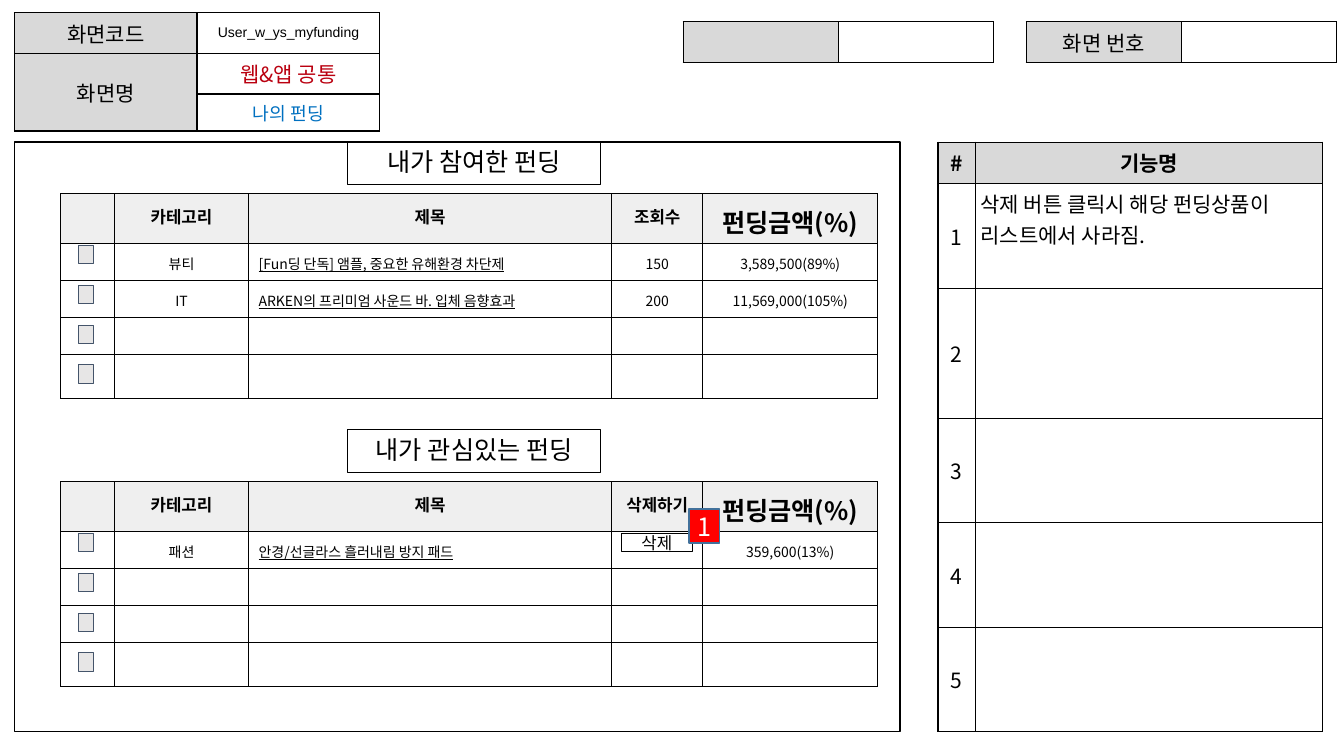
from lxml import etree
from pptx import Presentation
from pptx.dml.color import RGBColor
from pptx.enum.shapes import MSO_SHAPE as Shape
from pptx.enum.text import MSO_ANCHOR as Anchor, PP_ALIGN as Align
from pptx.oxml.ns import qn
from pptx.util import Pt

BLACK = RGBColor(0x00, 0x00, 0x00)
WHITE = RGBColor(0xFF, 0xFF, 0xFF)
LABEL_GRAY = RGBColor(0xD9, 0xD9, 0xD9)
HEADER_GRAY = RGBColor(0xEF, 0xEF, 0xEF)
CHECK_GRAY = RGBColor(0xE7, 0xE6, 0xE6)
CHECK_LINE = RGBColor(0x44, 0x54, 0x6A)
CRIMSON = RGBColor(0xBA, 0x00, 0x10)
BLUE = RGBColor(0x00, 0x70, 0xC0)
RED = RGBColor(0xFF, 0x00, 0x00)
MARKER_LINE = RGBColor(0x42, 0x71, 0x9B)
KOREAN = "Noto Sans CJK KR"

deck = Presentation()
deck.slide_width, deck.slide_height = Pt(960), Pt(540)
slide = deck.slides.add_slide(deck.slide_layouts[6])


def write(frame, text, align=Align.CENTER, color=BLACK, **styles):
    paragraph = frame.paragraphs[0]
    paragraph.alignment = align
    run = paragraph.add_run()
    run.text = text
    for key, value in ({"name": KOREAN, "size": Pt(15), "bold": False} | styles).items():
        setattr(run.font, key, value)
    run.font.color.rgb = color
    latin = run.font._element.find(qn("a:latin"))
    east_asian = etree.Element(qn("a:ea"), typeface=run.font.name)
    latin.addnext(east_asian)


def add_grid(left, top, widths, heights, border, fills, texts):
    """texts maps (row, column) to (text, style); fills maps (row, column) to a colour."""
    grid = slide.shapes.add_table(len(heights), len(widths), Pt(left), Pt(top),
                                  Pt(sum(widths)), Pt(sum(heights))).table
    for column, width in zip(grid.columns, widths):
        column.width = Pt(width)
    for r, height in enumerate(heights):
        grid.rows[r].height = Pt(height)
        for c in range(len(widths)):
            cell = grid.cell(r, c)
            properties = cell._tc.get_or_add_tcPr()
            for side in ("lnL", "lnR", "lnT", "lnB"):
                line = etree.SubElement(properties, qn(f"a:{side}"), w=str(Pt(border)))
                solid = etree.SubElement(line, qn("a:solidFill"))
                etree.SubElement(solid, qn("a:srgbClr"), val=str(BLACK))
            cell.fill.solid()
            cell.fill.fore_color.rgb = fills.get((r, c), WHITE)
            text, style = texts.get((r, c), ("", {}))
            style = dict(style)
            inset = style.pop("inset", 3.6) if text else 0
            cell.margin_left = cell.margin_right = cell.margin_top = Pt(inset)
            cell.margin_bottom = Pt(inset if inset <= 3.6 else 0)
            cell.vertical_anchor = style.pop("anchor", Anchor.MIDDLE)
            if text:
                write(cell.text_frame, text, **style)
    return grid


# Screen code and screen name
screen = add_grid(10.3, 9, [130.5, 130.5], [29.2, 28.6, 26.4], 1,
                  {(r, 0): LABEL_GRAY for r in range(3)}, {
                      (0, 0): ("화면코드", {}),
                      (0, 1): ("User_w_ys_myfunding",
                               {"size": Pt(10), "name": "Arial", "inset": 0.7}),
                      (1, 0): ("화면명", {}),
                      (1, 1): ("웹&앱 공통", {"color": CRIMSON}),
                      (2, 1): ("나의 펀딩", {"size": Pt(13), "color": BLUE}),
                  })
screen.cell(1, 0).merge(screen.cell(2, 0))

# Screen number, and the unlabelled pair beside it
for left, label in ((733, "화면 번호"), (488, "")):
    add_grid(left, 15.5, [110.8, 110.8], [29], 1, {(0, 0): LABEL_GRAY}, {(0, 0): (label, {})})

# Function list
functions = {(0, 0): ("#", {"bold": True}), (0, 1): ("기능명", {"bold": True})}
for number in range(1, 6):
    functions[number, 0] = (str(number), {})
functions[1, 1] = ("삭제 버튼 클릭시 해당 펀딩상품이 리스트에서 사라짐.",
                   {"align": Align.LEFT, "anchor": Anchor.TOP})
add_grid(670, 101.5, [26.8, 248], [29.5, 75, 93, 74.5, 74.5, 74.5], 1,
         {(0, 0): LABEL_GRAY, (0, 1): LABEL_GRAY}, functions)

# Screen frame
frame = slide.shapes.add_shape(Shape.RECTANGLE, Pt(10.3), Pt(101.5), Pt(632.5), Pt(421.2))
frame.shadow.inherit = False
frame.fill.solid()
frame.fill.fore_color.rgb = WHITE
frame.line.color.rgb = BLACK
frame.line.width = Pt(1)

# Funding lists: top, heading, fourth column, rows
funding_lists = [
    (101, "내가 참여한 펀딩", "조회수", [
        ("뷰티", "[Fun딩 단독] 앰플, 중요한 유해환경 차단제", "150", "3,589,500(89%)"),
        ("IT", "ARKEN의 프리미엄 사운드 바. 입체 음향효과", "200", "11,569,000(105%)")]),
    (306.7, "내가 관심있는 펀딩", "삭제하기", [
        ("패션", "안경/선글라스 흘러내림 방지 패드", "", "359,600(13%)")]),
]
for top, heading, fourth, fundings in funding_lists:
    title = slide.shapes.add_shape(Shape.RECTANGLE, Pt(248.2), Pt(top), Pt(181), Pt(31))
    title.shadow.inherit = False
    title.fill.background()
    title.line.color.rgb = BLACK
    title.line.width = Pt(0.75)
    title.text_frame.margin_top = title.text_frame.margin_bottom = Pt(3.6)
    title.text_frame.vertical_anchor = Anchor.TOP
    write(title.text_frame, heading, size=Pt(18))

    texts = {}
    for r, row in enumerate([("카테고리", "제목", fourth, "펀딩금액(%)"), *fundings]):
        for c, text in enumerate(row, start=1):
            style = {"inset": 7.2, "anchor": Anchor.TOP}
            if r == 0:
                style |= {"size": Pt(18 if c == 4 else 12), "bold": True}
            else:
                style |= {"size": Pt(10)}
                if c == 2:
                    style |= {"align": Align.LEFT, "underline": True}
            texts[r, c] = (text, style)
    add_grid(43.2, top + 37.2, [38.6, 95.8, 259.4, 65, 125], [35.7, 26.4, 26.4, 26.4, 31.6],
             0.75, {(0, c): HEADER_GRAY for c in range(5)}, texts)

    # Row checkboxes
    for r in range(4):
        checkbox = slide.shapes.add_shape(Shape.RECTANGLE, Pt(56), Pt(top + 74.2 + 28.5 * r),
                                          Pt(11), Pt(13))
        checkbox.shadow.inherit = False
        checkbox.fill.solid()
        checkbox.fill.fore_color.rgb = CHECK_GRAY
        checkbox.line.color.rgb = CHECK_LINE
        checkbox.line.width = Pt(0.75)

# Delete button and its numbered marker
for text, box, fill, line, color, size in (
        ("삭제", (444, 381, 50.5, 13), None, BLACK, BLACK, 12),
        ("1", (492.3, 363.5, 21.5, 24.5), RED, MARKER_LINE, WHITE, 18)):
    control = slide.shapes.add_shape(Shape.RECTANGLE, *map(Pt, box))
    control.shadow.inherit = False
    if fill is None:
        control.fill.background()
    else:
        control.fill.solid()
        control.fill.fore_color.rgb = fill
    control.line.color.rgb = line
    control.line.width = Pt(1)
    label = control.text_frame
    label.margin_left = label.margin_right = label.margin_top = label.margin_bottom = 0
    label.word_wrap = False
    label.vertical_anchor = Anchor.MIDDLE
    write(label, text, color=color, size=Pt(size))

deck.save("out.pptx")
